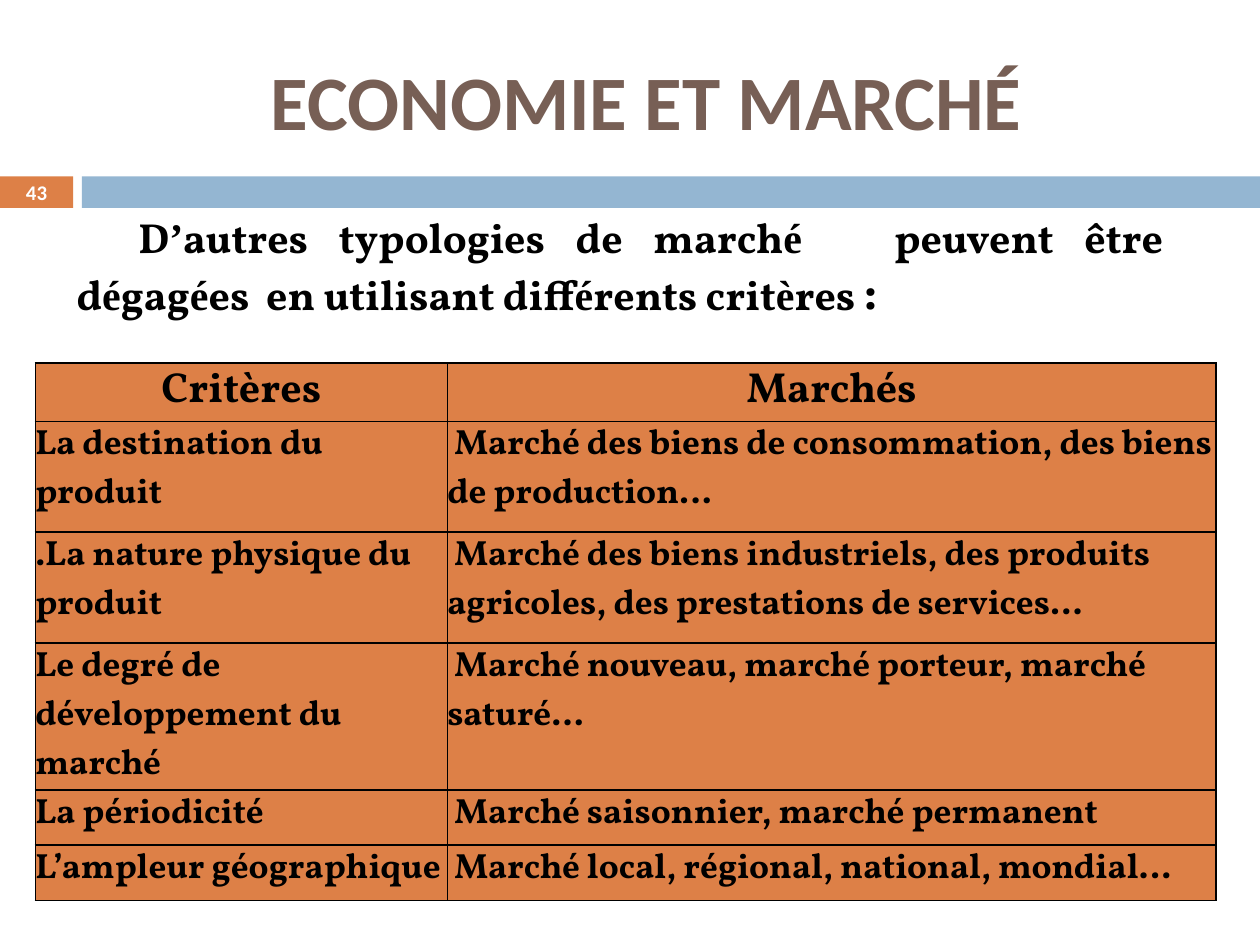
from dataclasses import dataclass
from itertools import groupby

from lxml import etree
from pptx import Presentation
from pptx.dml.color import RGBColor
from pptx.enum.shapes import MSO_SHAPE
from pptx.enum.text import MSO_ANCHOR, PP_ALIGN
from pptx.oxml.ns import qn
from pptx.util import Inches, Pt


@dataclass(frozen=True)
class Theme:
    orange: str = "DD8047"
    blue: str = "94B6D2"
    brown: str = "775F55"
    black: str = "000000"
    white: str = "FFFFFF"
    heading_font: str = "Calibri"
    body_font: str = "Vollkorn"
    accent_font: str = "Times New Roman"
    title_size: float = 44
    colon_size: float = 28
    lead_size: float = 24
    cell_size: float = 20
    number_size: float = 11.9
    border: float = 1


class SlideBuilder:
    def __init__(self, slide, theme):
        self.s = slide
        self.theme = theme

    def run(self, p, text, size, font, color):
        r = p.add_run()
        r.text = text
        r.font.size = Pt(size)
        r.font.name = font
        r.font.bold = True
        r.font.color.rgb = RGBColor.from_string(color)

    def place(self, sp, box):
        sp.left, sp.top, sp.width, sp.height = map(Inches, box)

    def bar(self, box, color):
        sp = self.s.shapes.add_shape(MSO_SHAPE.RECTANGLE, *map(Inches, box))
        sp.shadow.inherit = False
        sp.fill.solid()
        sp.fill.fore_color.rgb = RGBColor.from_string(color)
        sp.line.fill.background()

    def title(self, text, box):
        sp = self.s.shapes.title
        self.place(sp, box)
        tf = sp.text_frame
        tf.vertical_anchor = MSO_ANCHOR.MIDDLE
        p = tf.paragraphs[0]
        p.alignment = PP_ALIGN.CENTER
        self.run(p, text, self.theme.title_size, self.theme.heading_font, self.theme.brown)

    def text_box(self, box, align):
        tf = self.s.shapes.add_textbox(*map(Inches, box)).text_frame
        tf.word_wrap = True
        tf.vertical_anchor = MSO_ANCHOR.MIDDLE
        p = tf.paragraphs[0]
        p.alignment = align
        return p

    def lead(self, text, box, indent):
        t = self.theme
        p = self.text_box(box, PP_ALIGN.JUSTIFY)
        p._p.get_or_add_pPr().set("indent", str(Inches(indent)))
        for accented, chars in groupby(text, lambda c: c in "’éè"):
            font = t.accent_font if accented else t.body_font
            self.run(p, "".join(chars), t.lead_size, font, t.black)
        self.run(p, ":", t.colon_size, t.body_font, t.black)

    def slide_number(self, text, box):
        p = self.text_box(box, PP_ALIGN.CENTER)
        self.run(p, text, self.theme.number_size, self.theme.heading_font, self.theme.white)

    def borders(self, cell):
        tc_pr = cell._tc.get_or_add_tcPr()
        for i, side in enumerate(("lnL", "lnR", "lnT", "lnB")):
            ln = etree.Element(qn("a:" + side), w=str(Pt(self.theme.border)))
            fill = etree.SubElement(ln, qn("a:solidFill"))
            etree.SubElement(fill, qn("a:srgbClr"), val=self.theme.black)
            tc_pr.insert(i, ln)

    def cell(self, cell, text, header):
        t = self.theme
        cell.margin_left = cell.margin_right = cell.margin_top = cell.margin_bottom = 0
        cell.fill.solid()
        cell.fill.fore_color.rgb = RGBColor.from_string(t.orange)
        self.borders(cell)
        p = cell.text_frame.paragraphs[0]
        p.alignment = PP_ALIGN.CENTER if header else PP_ALIGN.LEFT
        self.run(p, text, t.lead_size if header else t.cell_size, t.body_font, t.black)

    def table(self, rows, left, top, widths, heights):
        box = (left, top, sum(widths), sum(heights))
        tbl = self.s.shapes.add_table(len(rows), len(widths), *map(Inches, box)).table
        tbl.horz_banding = False
        for col, width in zip(tbl.columns, widths):
            col.width = Inches(width)
        for i, (row, height) in enumerate(zip(rows, heights)):
            tbl.rows[i].height = Inches(height)
            for j, text in enumerate(row):
                self.cell(tbl.cell(i, j), text, header=i == 0)


MARKETS = [
    ("Critères", "Marchés"),
    ("La destination du produit",
     " Marché des biens de consommation, des biens de production…"),
    (".La nature physique du produit",
     " Marché des biens industriels, des produits agricoles, des prestations de services..."),
    ("Le degré de développement du marché",
     " Marché nouveau, marché porteur, marché saturé..."),
    ("La périodicité", " Marché saisonnier, marché permanent"),
    ("L’ampleur géographique", " Marché local, régional, national, mondial…"),
]

prs = Presentation()
prs.slide_width, prs.slide_height = Inches(10), Inches(7.5)
theme = Theme()
slide = SlideBuilder(prs.slides.add_slide(prs.slide_layouts[5]), theme)

slide.bar((0, 1.4, 0.58, 0.25), theme.orange)
slide.bar((0.65, 1.4, 9.35, 0.25), theme.blue)
slide.table(MARKETS, 0.28, 2.88, (3.27, 6.1), (0.44, 0.88, 0.88, 1.08, 0.44, 0.44))
slide.lead("D’autres typologies de marché   peuvent être dégagées  en utilisant différents critères ",
           (0.51, 1.62, 8.82, 0.98), 0.49)
slide.title("ECONOMIE ET MARCHÉ", (0.67, 0.25, 8.92, 1.08))
slide.slide_number("43", (0, 1.39, 0.58, 0.27))

prs.save("out.pptx")
